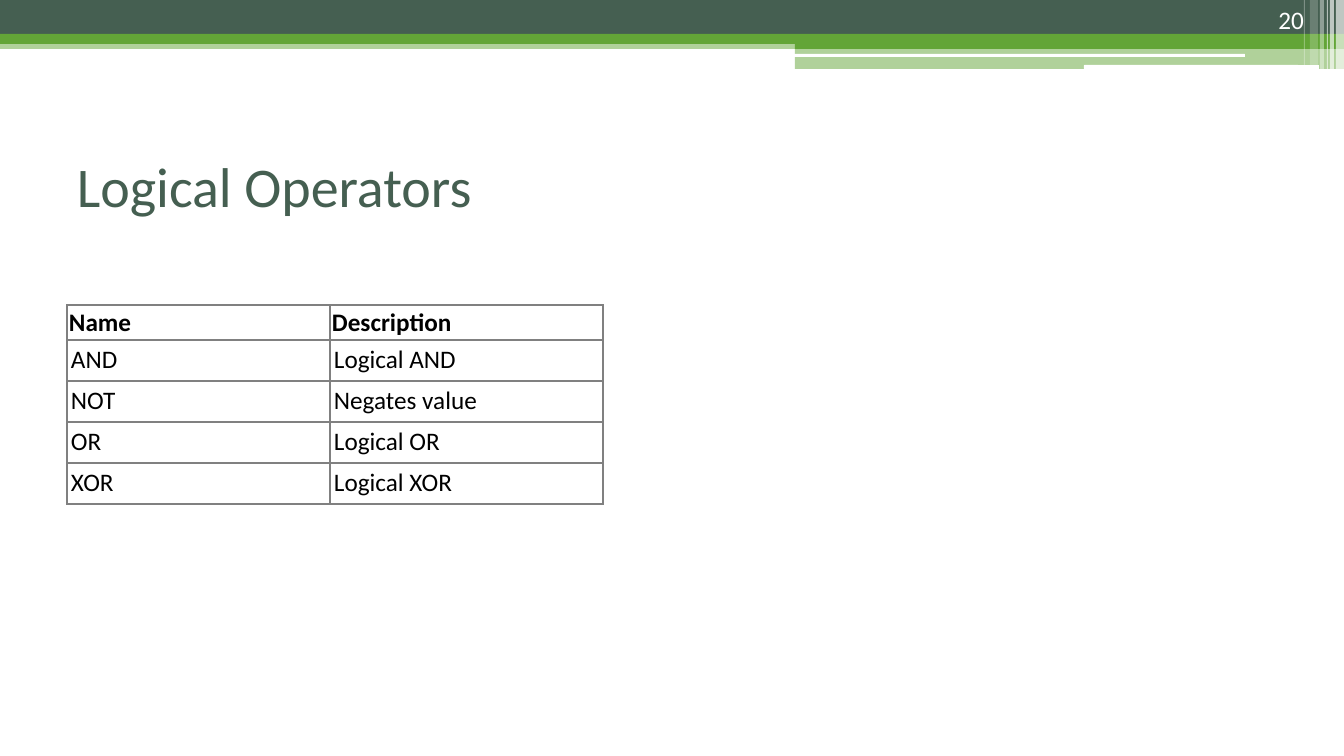
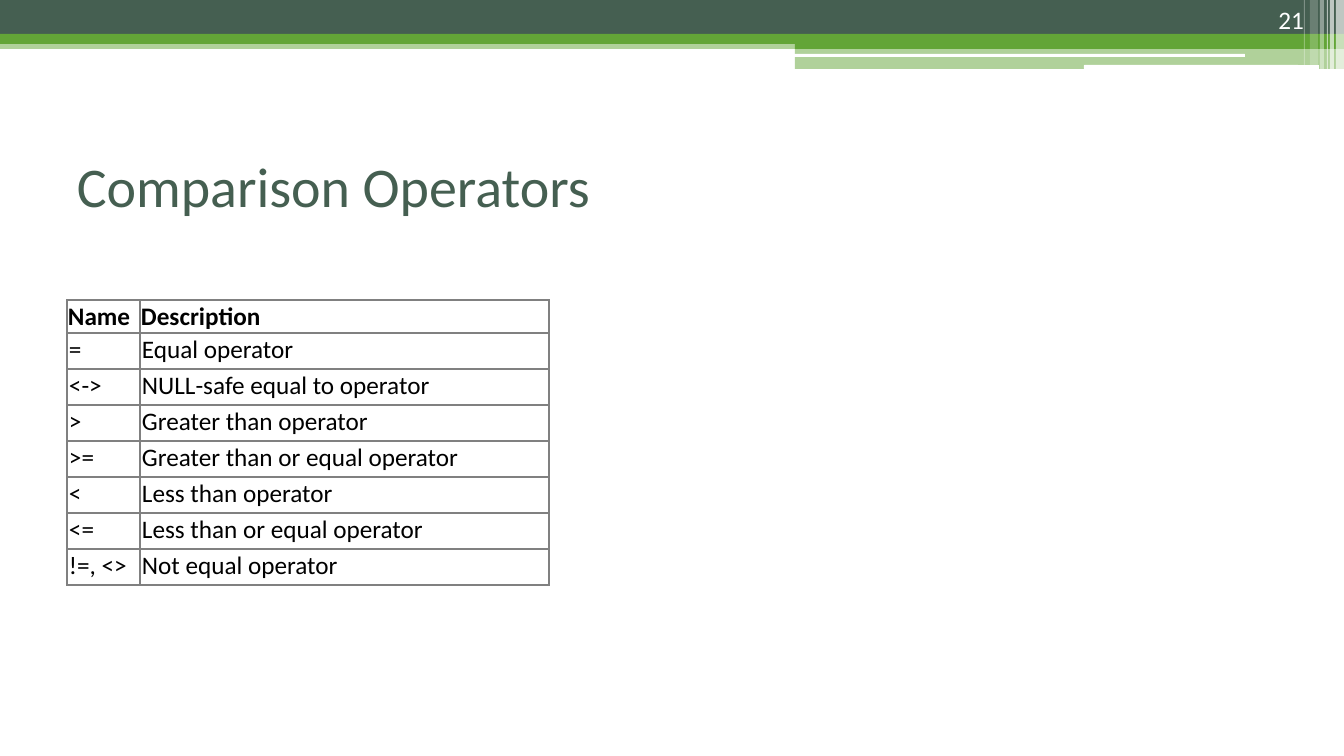
"""Builds two slides that list logical and comparison operators in tables."""
from lxml import etree
from pptx import Presentation
from pptx import util as u
from pptx.dml.color import RGBColor
from pptx.enum import shapes, text
from pptx.oxml import ns

SCALE = 914400 / 100.8
COLORS = {"dark": "455F51", "green": "63A537", "white": "FFFFFF", "black": "000000", "border": "808080"}
RECT = shapes.MSO_SHAPE.RECTANGLE
ROUND = shapes.MSO_SHAPE.ROUNDED_RECTANGLE
BANDS = [
    (RECT, 0, 40, 1344, 9, "green", 50),
    (RECT, 0, 0, 1344, 34, "dark", 100),
    (RECT, 0, 34, 1344, 10, "green", 100),
    (RECT, 795, 39, 549, 10, "green", 100),
    (RECT, 795, 49, 549, 20, "green", 50),
    (ROUND, 794, 54, 451, 3, "white", 100),
    (ROUND, 1084, 65, 235, 4, "white", 100),
    (RECT, 1336, 0, 8, 69, "white", 65),
    (RECT, 1330, 0, 4, 69, "white", 65),
    (RECT, 1327, 0, 1, 69, "white", 60),
    (RECT, 1320, 0, 4, 69, "white", 40),
    (RECT, 1310, 0, 8, 65, "white", 20),
    (RECT, 1304, 0, 1, 65, "white", 30),
]


def px(*lengths):
    return [u.Emu(round(length * SCALE)) for length in lengths]


class OperatorDeck:
    def __init__(self):
        self.deck = Presentation()
        self.deck.slide_width, self.deck.slide_height = px(1344, 756)
        self.page = None

    def add_page(self, title, number):
        self.page = self.deck.slides.add_slide(self.deck.slide_layouts[6])
        for band in BANDS:
            self.band(*band)
        self.text_box((67, 126, 1210, 118), title, 40, "dark", text.MSO_ANCHOR.MIDDLE)
        self.text_box((1202, 0, 112, 40), str(number), 18, "white",
                      text.MSO_ANCHOR.BOTTOM, text.PP_ALIGN.RIGHT)

    def band(self, kind, left, top, width, height, color, opacity):
        shape = self.page.shapes.add_shape(kind, *px(left, top, width, height))
        shape.shadow.inherit = False
        shape.line.fill.background()
        shape.fill.solid()
        shape.fill.fore_color.rgb = RGBColor.from_string(COLORS[color])
        if opacity < 100:
            paint = shape.fill._xPr.find(".//" + ns.qn("a:srgbClr"))
            etree.SubElement(paint, ns.qn("a:alpha"), val=str(opacity * 1000))

    def style(self, para, size, color, bold=False):
        for span in para.runs:
            span.font.name = "Calibri"
            span.font.size = u.Pt(size)
            span.font.bold = bold
            span.font.color.rgb = RGBColor.from_string(COLORS[color])

    def text_box(self, place, words, size, color, anchor, align=text.PP_ALIGN.LEFT):
        frame = self.page.shapes.add_textbox(*px(*place)).text_frame
        frame.word_wrap = True
        frame.vertical_anchor = anchor
        frame.text = words
        frame.paragraphs[0].alignment = align
        self.style(frame.paragraphs[0], size, color)

    def borders(self, cell):
        properties = cell._tc.get_or_add_tcPr()
        for side in ("a:lnL", "a:lnR", "a:lnT", "a:lnB"):
            line = etree.SubElement(properties, ns.qn(side), w=str(u.Pt(1)))
            fill = etree.SubElement(line, ns.qn("a:solidFill"))
            etree.SubElement(fill, ns.qn("a:srgbClr"), val=COLORS["border"])

    def table(self, top, widths, heights, insets, rows):
        rows = [("Name", "Description"), *rows]
        heights = [heights[0]] + [heights[1]] * (len(rows) - 1)
        place = px(67, top, sum(widths), sum(heights))
        table = self.page.shapes.add_table(len(rows), len(widths), *place).table
        table.first_row = table.horz_banding = False
        for column, width in zip(table.columns, px(*widths)):
            column.width = width
        for index, (row, height, words) in enumerate(zip(table.rows, px(*heights), rows)):
            row.height = height
            across, down = px(*insets[min(index, 1)])
            for cell, word in zip(row.cells, words):
                cell.margin_left = cell.margin_right = across
                cell.margin_top = cell.margin_bottom = down
                self.borders(cell)
                cell.fill.solid()
                cell.fill.fore_color.rgb = RGBColor.from_string(COLORS["white"])
                cell.text_frame.text = word
                self.style(cell.text_frame.paragraphs[0], 18, "black", bold=index == 0)


show = OperatorDeck()

show.add_page("Logical Operators", 20)
show.table(305, (263, 273), (35, 41), ((2, 2), (4, 5)), [
    ("AND", "Logical AND"),
    ("NOT", "Negates value"),
    ("OR", "Logical OR"),
    ("XOR", "Logical XOR"),
])

show.add_page("Comparison Operators", 21)
show.table(300, (73, 409), (33, 36), ((1, 1), (2, 2)), [
    ("=", "Equal operator"),
    ("<->", "NULL-safe equal to operator"),
    (">", "Greater than operator"),
    (">=", "Greater than or equal operator"),
    ("<", "Less than operator"),
    ("<=", "Less than or equal operator"),
    ("!=,\u00a0<>", "Not equal operator"),
])

show.deck.save("out.pptx")
